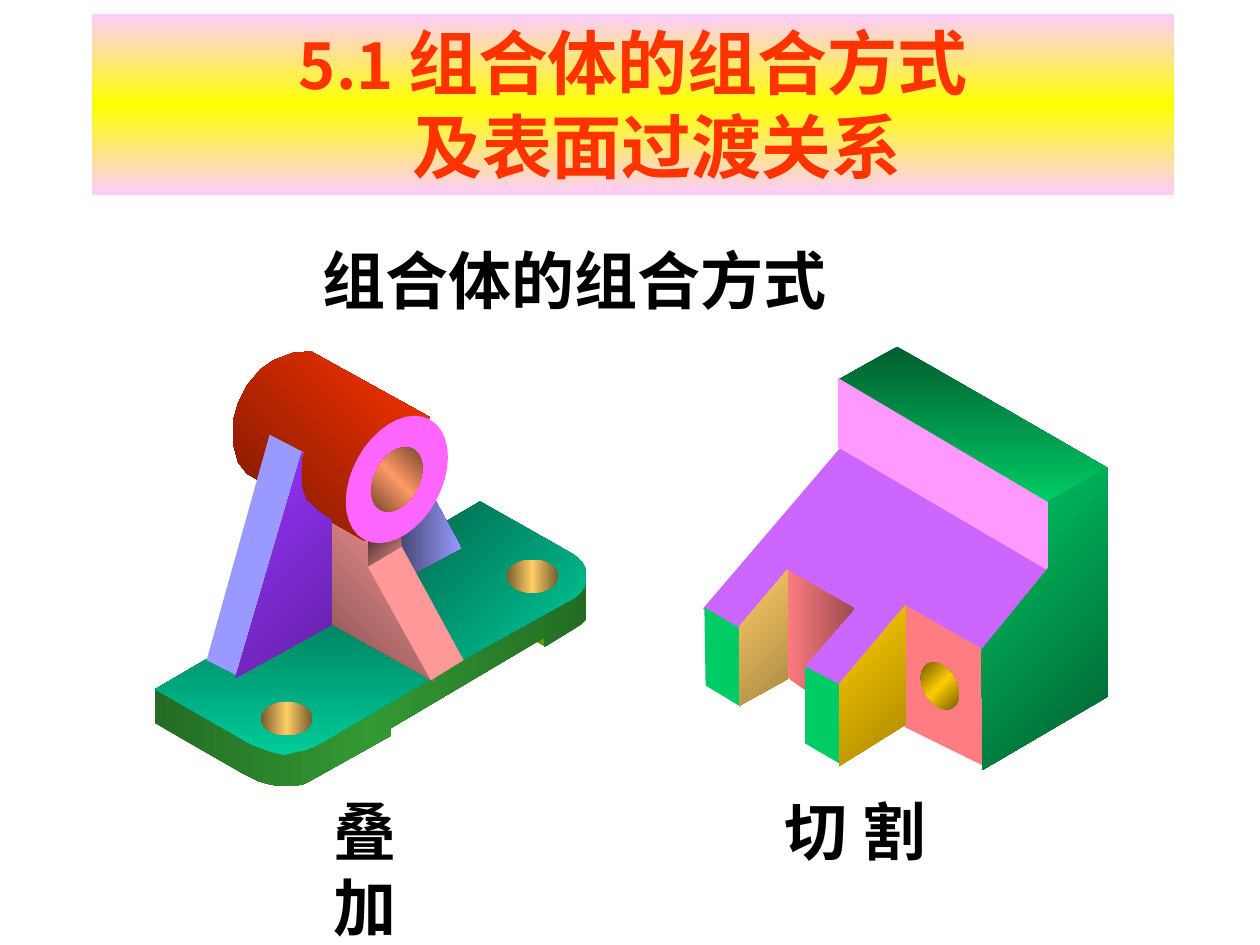
from copy import deepcopy
from math import asin, cos, pi, sin

from pptx import Presentation
from pptx.dml.color import RGBColor
from pptx.enum.shapes import MSO_SHAPE as Preset
from pptx.enum.text import MSO_ANCHOR as Anchor, MSO_AUTO_SIZE as AutoSize, PP_ALIGN as Align
from pptx.util import Pt

rgb = RGBColor.from_string
CJK = "Noto Sans CJK SC"


def paint(shape, colours, angle=0):
    """Fill with one colour, or an even gradient turned clockwise by angle."""
    shape.shadow.inherit = False
    shape.line.fill.background()
    if len(colours) == 1:
        shape.fill.solid()
        shape.fill.fore_color.rgb = rgb(colours[0])
        return
    shape.fill.gradient()
    shape.fill.gradient_angle = -angle % 360
    stop_list = shape._element.xpath(".//a:gsLst")[0]
    for _ in colours[2:]:
        stop_list.append(deepcopy(stop_list[0]))
    for i, (stop, colour) in enumerate(zip(shape.fill.gradient_stops, colours)):
        stop.position = i / (len(colours) - 1)
        stop.color.rgb = rgb(colour)


prs = Presentation()
prs.slide_width, prs.slide_height = Pt(720), Pt(540)
slide = prs.slides.add_slide(prs.slide_layouts[6])

# Title banner
banner = slide.shapes.add_shape(Preset.RECTANGLE, Pt(52.6), Pt(7.9), Pt(618.5), Pt(103.7))
paint(banner, ["FFCCFF", "FFFF00", "FFCCFF"], 90)
title = banner.text_frame
title.word_wrap = True
title.auto_size = AutoSize.SHAPE_TO_FIT_TEXT
title.vertical_anchor = Anchor.TOP
first_line, second_line = title.paragraphs[0], title.add_paragraph()
second_line._p.get_or_add_pPr().set("marL", str(Pt(27)))
for line, parts in ((first_line, [("5.1 ", 36), ("组合体的组合方式", 40)]),
                    (second_line, [("及表面过渡关系", 40)])):
    line.alignment = Align.CENTER
    line.font.name = CJK
    line.font.bold = True
    line.font.size = Pt(40)
    line.font.color.rgb = rgb("FF3300")
    for words, size in parts:
        run = line.add_run()
        run.text = words
        if size != 40:
            run.font.size = Pt(size)

# Heading and captions
for words, left, top, width, face, wraps in (
        ("组合体的组合方式", 177.1, 134.6, 302.4, CJK, False),
        ("叠 加", 183.6, 449.3, 94.3, "Times New Roman", False),
        ("切 割", 441.4, 449.3, 95.8, "Times New Roman", True)):
    label = slide.shapes.add_textbox(Pt(left), Pt(top), Pt(width), Pt(50.4)).text_frame
    label.word_wrap = wraps
    label.auto_size = AutoSize.SHAPE_TO_FIT_TEXT
    caption = label.paragraphs[0]
    caption.text = words
    caption.font.name = face
    caption.font.size = Pt(36)
    caption.font.bold = True
    caption.font.color.rgb = rgb("000000")

# Faces, back to front: colours, gradient angle, corners in units of 0.72 pt
bracket_faces = [
    # base plate: foot, rim, rear top, front top
    (["669900"], 0, [(432, 513), (425, 509), (433, 505)]),
    (["246C24", "339933", "246C24"], 0,
     [(123, 546), (123, 574), (193, 614), (199, 617), (205, 620), (212, 622), (222, 624),
      (233, 624), (242, 622), (251, 617), (310, 584), (310, 578), (432, 506), (432, 513),
      (433, 513), (461, 496), (465, 492), (465, 459), (241, 591), (203, 588)]),
    (["00684E", "00CC99"], 45,
     [(367, 524), (329, 454), (361, 436), (352, 415), (381, 398), (455, 440), (462, 446),
      (465, 452), (465, 460), (464, 466), (461, 470), (457, 474)]),
    (["008463", "00CC99"], 90,
     [(164, 523), (188, 535), (262, 494), (345, 537), (256, 589), (248, 593), (243, 595),
      (233, 597), (226, 599), (217, 597), (205, 593), (198, 590), (123, 547)]),
    # front rib sides and rear rib
    (["412727", "FF9999"], 45, [(292, 429), (289, 454), (320, 435), (319, 425)]),
    (["824E4E", "FF9999"], 315,
     [(261, 413), (292, 430), (292, 449), (345, 541), (261, 494)]),
    (["474776", "9999FF"], 0,
     [(345, 396), (366, 435), (329, 455), (319, 435), (318, 420)]),
    # cylinder wall
    (["761800", "FF3300"], 315,
     [(341, 331), (247, 279), (233, 280), (217, 286), (207, 293), (196, 306), (189, 320),
      (185, 334), (185, 352), (189, 367), (196, 376), (289, 429)]),
    # left support and front rib edge
    (["9999FF"], 0, [(214, 345), (164, 524), (190, 537), (241, 359)]),
    (["9933FF", "6321A5"], 45,
     [(187, 538), (263, 496), (263, 413), (253, 406), (243, 397), (239, 386), (239, 372),
      (240, 358)]),
    (["FF9999"], 0, [(292, 450), (342, 540), (368, 524), (319, 434)]),
]
block_faces = [
    # slope, front wall, slot wall
    (["CC66FF"], 0,
     [(669, 353), (558, 483), (588, 499), (625, 457), (667, 486), (635, 528), (668, 544),
      (719, 481), (782, 523), (842, 448)]),
    (["FF7C80"], 0, [(718, 480), (781, 516), (781, 608), (718, 577)]),
    (["FF7C80", "9B4B4E"], 0,
     [(624, 452), (678, 483), (639, 528), (640, 548), (624, 537)]),
    # top, upper front, right side
    (["005E2F", "00CC66"], 90, [(666, 301), (712, 275), (880, 372), (833, 400)]),
    (["FF99FF"], 0, [(665, 300), (665, 355), (832, 453), (834, 400)]),
    (["00CC66", "005E2F"], 45,
     [(879, 371), (879, 553), (780, 611), (779, 516), (832, 451), (832, 398)]),
    # prong ends and inner sides
    (["00CC66"], 0, [(559, 482), (588, 499), (588, 561), (560, 544)]),
    (["00CC66"], 0, [(639, 529), (668, 544), (668, 607), (639, 590)]),
    (["FFCC66", "AA8844"], 45, [(587, 497), (625, 452), (625, 539), (587, 560)]),
    (["FFCC00", "AA8800"], 45, [(666, 543), (666, 608), (719, 575), (719, 480)]),
]

# Slanted discs: colours, gradient angle, centre, radii, lean (all in points)
bracket_discs = [
    (["FF66FF"], 0, 226.8, 274, 29.2, 36.4, -0.35),
    (["76472F", "FF9966", "76472F"], 315, 226.8, 274, 14.6, 18.4, -0.35),
]
block_discs = [(["765E00", "FFCC00", "765E00"], 45, 537.1, 392, 10.9, 13.4, 0.35)]

for faces, discs, bolt_holes in ((bracket_faces, bracket_discs, [(149, 401.2), (289.4, 319.8)]),
                                 (block_faces, block_discs, [])):
    body = slide.shapes.add_group_shape().shapes
    for colours, angle, corners in faces:
        outline = body.build_freeform(*corners[0], scale=Pt(0.72))
        outline.add_line_segments(corners[1:])
        paint(outline.convert_to_shape(), colours, angle)
    for colours, angle, x, y, rx, ry, lean in discs:
        turns = [2 * pi * i / 36 for i in range(36)]
        rim = [(100 * (x + rx * cos(t)), 100 * (y + ry * sin(t + asin(lean)))) for t in turns]
        outline = body.build_freeform(*rim[0], scale=Pt(0.01))
        outline.add_line_segments(rim[1:])
        paint(outline.convert_to_shape(), colours, angle)
    for left, top in bolt_holes:
        hole = body.add_shape(Preset.OVAL, Pt(left), Pt(top), Pt(29.5), Pt(18.9))
        paint(hole, ["765E2F", "FFCC66", "765E2F"])

prs.save("out.pptx")
